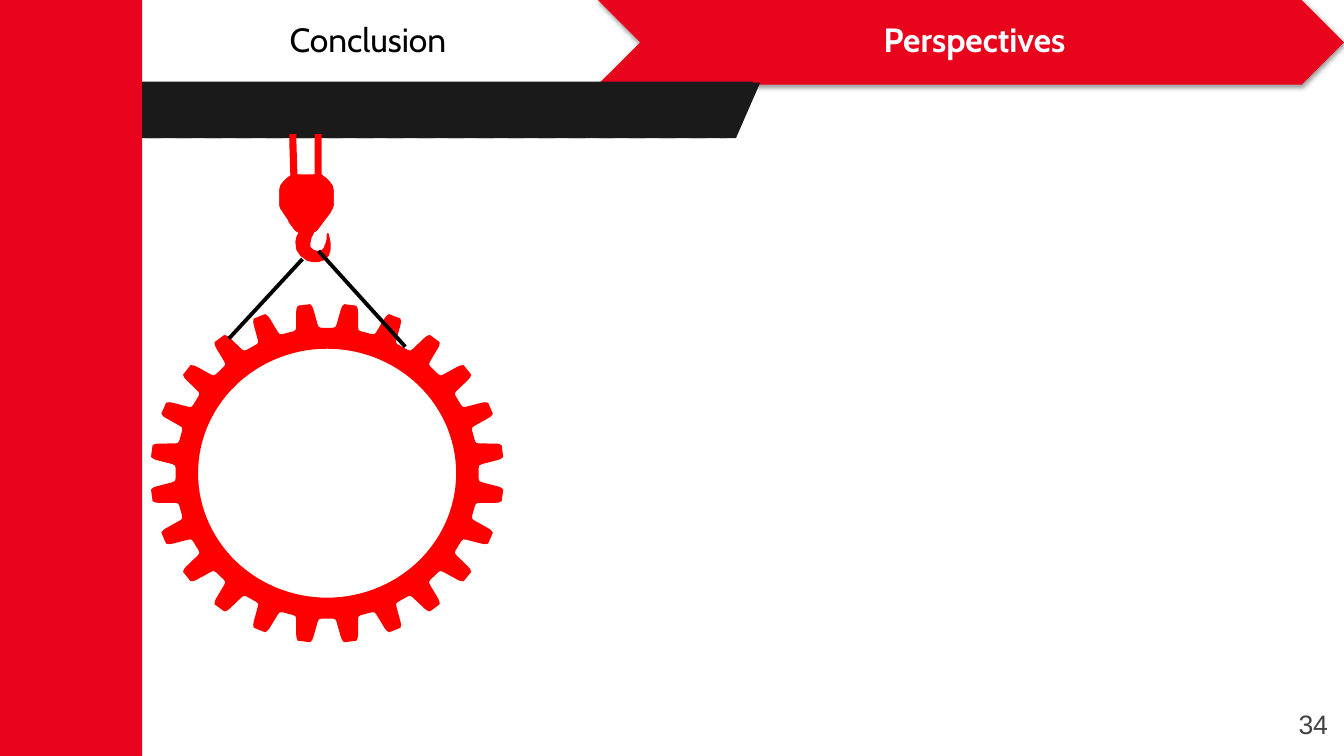
import math

import lxml.etree
import pptx
import pptx.dml.color
import pptx.enum.shapes
import pptx.enum.text
import pptx.oxml
import pptx.oxml.ns
import pptx.util

PX = 9144  # EMU in one px, 100 px to the inch
COLORS = {"brand": "E9041E", "machine": "FF0000", "beam": "1A1A1A", "white": "FFFFFF",
          "ink": "010101", "number": "414141", "shadow": "000000"}
MSO = pptx.enum.shapes.MSO_SHAPE
ANCHOR = pptx.enum.text.MSO_ANCHOR

# Half of a gear tooth: degrees from its axis and share of the outer radius
TOOTH = [(-5.3, 0.857), (-4.4, 0.862), (-4, 0.877), (-2.9, 0.967), (-2.6, 0.985), (-2, 1)]
TEETH = 24

HOOK = [(287, 133), (294, 133), (294, 139), (295, 173), (312, 173), (312, 133), (319, 133),
        (319, 173), (324, 177), (327, 180), (330, 184), (331, 188), (331, 203), (330, 207),
        (328, 210), (315, 228), (312, 230), (309, 236), (308, 241), (308, 245), (311, 248),
        (315, 249), (319, 248), (321, 246), (323, 241), (324, 237), (324, 233), (325, 231),
        (326, 232), (327, 236), (328, 241), (328, 248), (326, 254), (322, 258), (316, 260),
        (310, 260), (305, 259), (298, 254), (294, 248), (293, 240), (294, 235), (296, 231),
        (292, 228), (280, 210), (278, 207), (277, 203), (277, 188), (278, 184), (281, 180),
        (284, 177), (288, 174), (287, 143)]
HOOK_FACETS = [
    [(330, 188), (331, 189), (331, 204), (328, 211), (315, 228), (313, 230), (307, 230)],
    [(311, 173), (319, 174), (323, 177), (294, 230), (292, 228), (286, 220)],
    [(297, 173), (279, 208), (277, 204), (277, 189), (281, 181), (284, 178), (288, 175)],
]


def px(value):
    return round(value * PX)


def rgb(name):
    return pptx.dml.color.RGBColor.from_string(COLORS[name])


def paint(shape, color):
    shape.shadow.inherit = False
    shape.fill.solid()
    shape.fill.fore_color.rgb = rgb(color)
    shape.line.fill.background()


def add_block(s, kind, box, color):
    shape = s.shapes.add_shape(kind, *map(px, box))
    paint(shape, color)
    return shape


def add_tab(s, kind, box, color):
    """Add a header arrow with a soft shadow below it."""
    tab = add_block(s, kind, box, color)
    tab.adjustments[0] = 0.5
    effects = tab._element.spPr.find(pptx.oxml.ns.qn("a:effectLst"))
    effects.append(pptx.oxml.parse_xml(
        f'<a:outerShdw {pptx.oxml.ns.nsdecls("a")} blurRad="38100" dist="20320" '
        f'dir="5400000" rotWithShape="0"><a:srgbClr val="{COLORS["shadow"]}">'
        '<a:alpha val="38000"/></a:srgbClr></a:outerShdw>'))


def add_outline(s, contours, color):
    """Add one freeform made of closed contours of px points."""
    contours = [[(px(x), px(y)) for x, y in points] for points in contours]
    builder = s.shapes.build_freeform(*contours[0][0], scale=1.0)
    for i, points in enumerate(contours):
        if i:
            builder.move_to(*points[0])
        builder.add_line_segments(points[1:], close=True)
    paint(builder.convert_to_shape(), color)


def add_cable(s, start, end):
    line = s.shapes.add_connector(pptx.enum.shapes.MSO_CONNECTOR.STRAIGHT,
                                  *map(px, start + end))
    line.line.color.rgb = rgb("ink")
    line.line.width = pptx.util.Pt(2.75)
    lxml.etree.SubElement(line._element.spPr, pptx.oxml.ns.qn("a:effectLst"))


def write(shape, text, box, inset, color, frame, paragraph, font):
    """Place a text shape and fill it with one formatted run."""
    for name, value in zip(("left", "top", "width", "height"), box):
        setattr(shape, name, px(value))
    tf = shape.text_frame
    margins = {f"margin_{side}": px(inset) for side in ("left", "top", "right", "bottom")}
    p = tf.paragraphs[0]
    r = p.add_run()
    r.text = text
    r.font.color.rgb = rgb(color)
    formats = [(tf, {**margins, "auto_size": pptx.enum.text.MSO_AUTO_SIZE.NONE, **frame}),
               (p, {"alignment": pptx.enum.text.PP_ALIGN.CENTER, **paragraph}),
               (r.font, font)]
    for target, values in formats:
        for name, value in values.items():
            setattr(target, name, value)


def write_tab_label(shape, text, box, color, bold):
    write(shape, text, box, 3, color,
          {"word_wrap": True, "vertical_anchor": ANCHOR.MIDDLE},
          {"line_spacing": 0.9, "space_before": pptx.util.Pt(0)},
          {"name": "Cabin", "size": pptx.util.Pt(24), "bold": bold})


def add_text_box(s):
    return s.shapes.add_textbox(0, 0, px(100), px(50))


def ellipse_point(cx, cy, rx, ry, degrees, share=1):
    angle = math.radians(degrees)
    return cx + share * rx * math.sin(angle), cy - share * ry * math.cos(angle)


def add_gear(s):
    profile = TOOTH + [(-angle, share) for angle, share in reversed(TOOTH)]
    pitch = 360 / TEETH
    rim = [ellipse_point(324.5, 469.5, 175.5, 168.5, (i + 0.5) * pitch + angle, share)
           for i in range(TEETH) for angle, share in profile]
    hole = [ellipse_point(324.5, 469.5, 128, 123.5, -angle) for angle in range(0, 360, 3)]
    add_outline(s, [rim, hole], "machine")


def add_beam(s):
    add_outline(s, [[(141, 81), (747, 81), (721, 137), (141, 137)]], "beam")
    stripes = [[(x, 82), (x + 16, 82), (x - 8, 137), (x - 24, 137)]
               for x in range(738, 167, -30)]
    add_outline(s, stripes + [[(141, 82), (152, 82), (141, 107)]], "beam")


def main():
    prs = pptx.Presentation()
    prs.slide_width, prs.slide_height = px(1333), px(750)
    s = prs.slides.add_slide(prs.slide_layouts[5])

    add_tab(s, MSO.PENTAGON, (0, 0, 740, 84), "white")
    write_tab_label(add_text_box(s), "Conclusion", (11, 18, 708, 47), "ink", False)
    add_tab(s, MSO.CHEVRON, (593, 0, 740, 84), "brand")
    title = s.shapes.title
    s.shapes._spTree.append(title._element)  # bring the title in front of its tab
    write_tab_label(title, "Perspectives", (642, 18, 649, 47), "white", True)

    add_block(s, MSO.RECTANGLE, (0, 0, 141, 750), "brand")
    add_beam(s)
    add_gear(s)
    add_outline(s, [HOOK], "machine")
    add_outline(s, HOOK_FACETS, "machine")
    add_cable(s, (227, 336), (300, 257))
    add_cable(s, (402, 344), (316, 249))

    write(add_text_box(s), "34", (1282, 697, 41, 42), 5, "number", {"word_wrap": False}, {},
          {"name": "Arial", "size": pptx.util.Pt(19)})
    prs.save("out.pptx")


if __name__ == "__main__":
    main()
